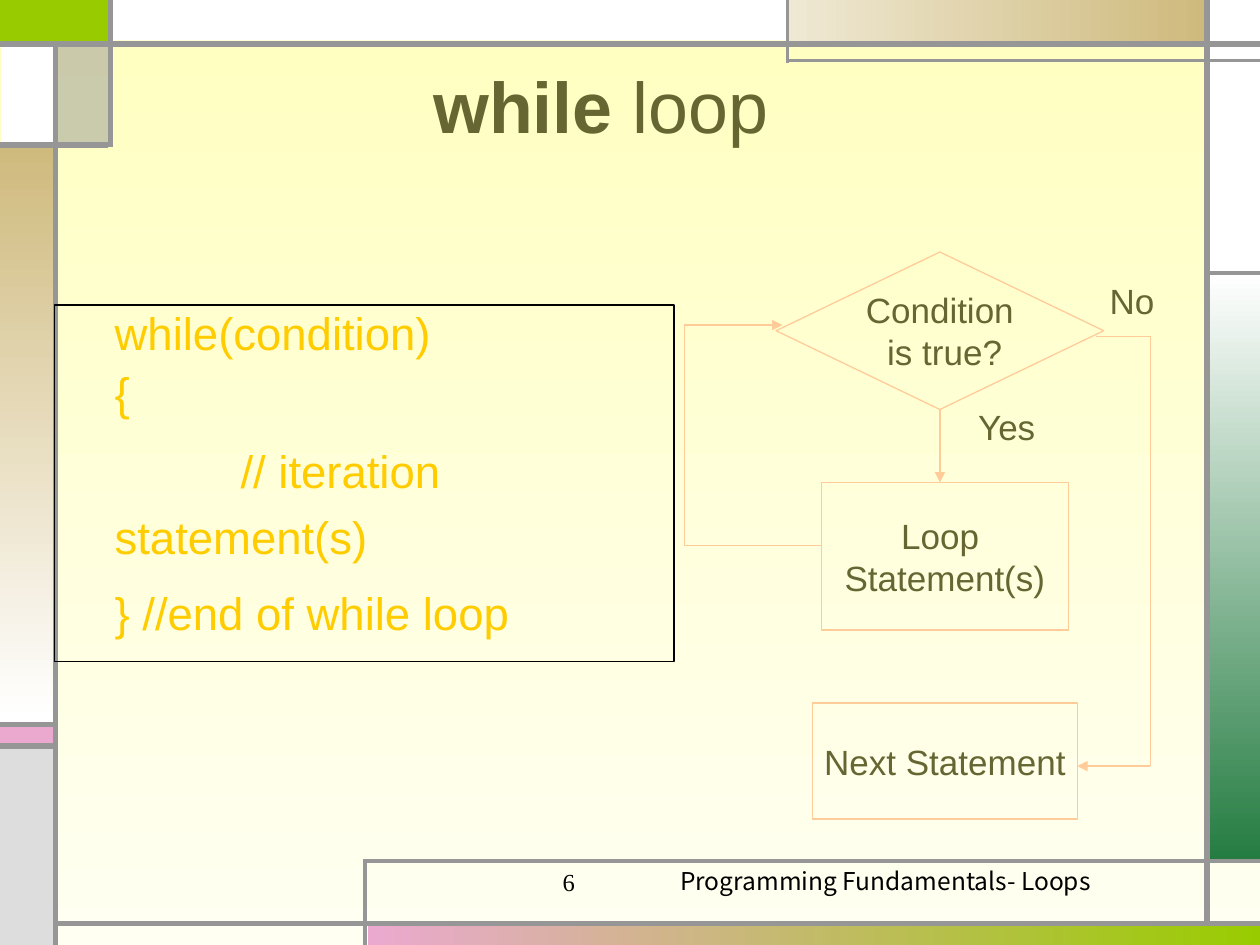
from typing import NamedTuple, Optional

from lxml.etree import SubElement
from pptx import Presentation
from pptx.dml.color import RGBColor
from pptx.enum.shapes import MSO_CONNECTOR, MSO_SHAPE
from pptx.enum.text import MSO_ANCHOR, MSO_AUTO_SIZE, PP_ALIGN
from pptx.oxml.ns import qn
from pptx.util import Inches, Pt

BLACK = RGBColor(0x00, 0x00, 0x00)
WHITE = RGBColor(0xFF, 0xFF, 0xFF)
GRAY = RGBColor(0x96, 0x96, 0x96)
PALE_GRAY = RGBColor(0xDD, 0xDD, 0xDD)
LIME = RGBColor(0x99, 0xCC, 0x00)
PINK = RGBColor(0xEB, 0xA9, 0xD0)
GREEN = RGBColor(0x24, 0x7C, 0x41)
TAN = RGBColor(0xCF, 0xBA, 0x7D)
PALE_TAN = RGBColor(0xEF, 0xE8, 0xD3)
YELLOW = RGBColor(0xFF, 0xFF, 0xBF)
IVORY = RGBColor(0xFF, 0xFF, 0xF2)
OLIVE = RGBColor(0x66, 0x66, 0x33)
GOLD = RGBColor(0xFF, 0xCC, 0x00)
PEACH = RGBColor(0xFF, 0xCC, 0x99)

RIGHTWARD, DOWNWARD = 0, 270


class Box(NamedTuple):
    left: float
    top: float
    width: float
    height: float


class Panel(NamedTuple):
    box: Box
    color: RGBColor
    end_color: Optional[RGBColor] = None
    angle: int = RIGHTWARD
    opacity: int = 100


class Line(NamedTuple):
    x1: float
    y1: float
    x2: float
    y2: float
    width: float = 0.75
    arrow: bool = False


class Node(NamedTuple):
    kind: MSO_SHAPE
    box: Box
    lines: tuple


class Label(NamedTuple):
    box: Box
    text: str
    size: float
    font: str
    color: RGBColor
    align: PP_ALIGN = PP_ALIGN.CENTER
    space_before: float = 0


class CodeLine(NamedTuple):
    text: str
    spacing: float
    indent: float = 0


PANELS = [
    Panel(Box(0, 0, 0.87, 0.34), LIME),
    Panel(Box(2.92, 7.33, 7.08, 0.17), PINK, LIME),
    Panel(Box(9.58, 2.17, 0.42, 4.67), WHITE, GREEN, DOWNWARD),
    Panel(Box(0, 5.75, 0.42, 0.17), PINK),
    Panel(Box(0, 5.93, 0.42, 1.57), PALE_GRAY),
    Panel(Box(9.58, 0, 0.42, 2.17), WHITE),
    Panel(Box(6.25, 0, 3.33, 0.33), PALE_TAN, TAN),
    Panel(Box(0.46, 0.33, 0.42, 0.82), GRAY, opacity=50),
    Panel(Box(0, 1.15, 0.42, 4.58), TAN, WHITE, DOWNWARD),
    Panel(Box(0.01, 0.33, 0.42, 0.82), WHITE),
    Panel(Box(0.86, 0, 5.39, 0.32), WHITE),
]
FRAME_LINES = [
    Line(0.44, 7.5, 0.44, 0.33, 3),
    Line(0.44, 7.33, 10, 7.33, 3),
    Line(9.58, 7.33, 9.58, 0, 3),
    Line(0, 0.35, 10, 0.35, 3),
    Line(10, 0.48, 6.25, 0.48, 2.25),
    Line(6.25, 0.5, 6.25, 0, 2.25),
    Line(9.58, 2.17, 10, 2.17, 2.25),
    Line(0.88, 0, 0.88, 1.17, 3),
    Line(0.86, 1.15, 0, 1.15, 3),
    Line(2.9, 7.5, 2.9, 6.82, 2.25),
    Line(2.89, 6.83, 10, 6.83, 2.25),
    Line(0.46, 5.75, 0, 5.75, 3),
    Line(0.46, 5.92, 0, 5.92, 3),
]
LABELS = [
    Label(Box(5.3, 6.82, 3.87, 0.52), "Programming Fundamentals- Loops", 14,
          "Noto Sans CJK KR", BLACK, PP_ALIGN.LEFT),
    Label(Box(2.93, 6.83, 3.17, 0.52), "6", 14, "Times New Roman", BLACK, space_before=8.8),
    Label(Box(7.54, 3.17, 0.9, 0.43), "Yes", 20, "Arial", OLIVE, space_before=12.5),
    Label(Box(8.62, 2.17, 0.73, 0.43), "No", 20, "Arial", OLIVE, space_before=12.5),
]
CODE = [
    CodeLine("while(condition)", 0.9),
    CodeLine("{", 0.9),
    CodeLine("// iteration statement(s)", 1.2, indent=1),
    CodeLine("} //end of while loop", 1.2),
]
DECISION = Node(MSO_SHAPE.FLOWCHART_DECISION, Box(6.16, 2, 2.6, 1.25), ("Condition", " is true?"))
LOOP_BODY = Node(MSO_SHAPE.RECTANGLE, Box(6.52, 3.83, 1.96, 1.17), ("Loop ", "Statement(s)"))
NEXT = Node(MSO_SHAPE.RECTANGLE, Box(6.45, 5.58, 2.1, 0.92), ("Next Statement",))
YES_LINE = Line(7.46, 3.25, 7.46, 3.83, arrow=True)
FLOW_LINES = [
    Line(6.52, 4.33, 5.43, 4.33),
    Line(5.43, 4.33, 5.43, 2.58),
    Line(5.43, 2.58, 6.21, 2.58, arrow=True),
    Line(8.7, 2.67, 9.13, 2.67),
    Line(9.13, 2.67, 9.13, 6.08),
    Line(9.13, 6.08, 8.55, 6.08, arrow=True),
]


def set_gradient(fill, start: RGBColor, end: RGBColor, angle: int) -> None:
    fill.gradient()
    fill.gradient_angle = angle
    for stop, color, position in zip(fill.gradient_stops, (start, end), (0, 1)):
        stop.color.rgb = color
        stop.position = position


def add_run(paragraph, text: str, size: float, font: str, color: RGBColor, bold=False) -> None:
    run = paragraph.add_run()
    run.text = text
    run.font.size, run.font.name, run.font.bold = Pt(size), font, bold
    run.font.color.rgb = color


def add_panel(slide, panel: Panel) -> None:
    shape = slide.shapes.add_shape(MSO_SHAPE.RECTANGLE, *map(Inches, panel.box))
    shape.shadow.inherit = False
    shape.line.fill.background()
    if panel.end_color is not None:
        set_gradient(shape.fill, panel.color, panel.end_color, panel.angle)
        return
    shape.fill.solid()
    shape.fill.fore_color.rgb = panel.color
    if panel.opacity < 100:
        color = next(shape.element.spPr.iter(qn("a:srgbClr")))
        SubElement(color, qn("a:alpha"), val=str(panel.opacity * 1000))


def add_line(slide, line: Line, color: RGBColor):
    ends = map(Inches, (line.x1, line.y1, line.x2, line.y2))
    connector = slide.shapes.add_connector(MSO_CONNECTOR.STRAIGHT, *ends)
    connector.line.color.rgb = color
    connector.line.width = Pt(line.width)
    if line.arrow:
        SubElement(connector.line._get_or_add_ln(), qn("a:tailEnd"), type="triangle")
    SubElement(connector.element.spPr, qn("a:effectLst"))
    return connector


def add_label(slide, label: Label) -> None:
    frame = slide.shapes.add_textbox(*map(Inches, label.box)).text_frame
    frame.word_wrap = True
    paragraph = frame.paragraphs[0]
    paragraph.alignment = label.align
    paragraph.space_before = Pt(label.space_before)
    add_run(paragraph, label.text, label.size, label.font, label.color)


def add_node(slide, node: Node):
    shape = slide.shapes.add_shape(node.kind, *map(Inches, node.box))
    shape.shadow.inherit = False
    shape.fill.background()
    shape.line.color.rgb, shape.line.width = PEACH, Pt(0.75)
    frame = shape.text_frame
    frame.word_wrap = False
    frame.vertical_anchor = MSO_ANCHOR.MIDDLE
    for index, text in enumerate(node.lines):
        paragraph = frame.add_paragraph() if index else frame.paragraphs[0]
        paragraph.alignment = PP_ALIGN.CENTER
        add_run(paragraph, text, 20, "Arial", OLIVE)
    return shape


def place(placeholder, box: Box, anchor: MSO_ANCHOR):
    """Move a placeholder to its box, in front of the frame, and return its text frame."""
    placeholder.left, placeholder.top, placeholder.width, placeholder.height = map(Inches, box)
    placeholder.element.getparent().append(placeholder.element)
    frame = placeholder.text_frame
    frame.auto_size, frame.word_wrap = MSO_AUTO_SIZE.NONE, True
    frame.vertical_anchor = anchor
    return frame


def fill_title(slide) -> None:
    paragraph = place(slide.shapes.title, Box(0.52, 0.33, 8.5, 1), MSO_ANCHOR.MIDDLE).paragraphs[0]
    paragraph.alignment = PP_ALIGN.CENTER
    add_run(paragraph, "while", 41, "Arial", OLIVE, bold=True)
    add_run(paragraph, " loop", 41, "Arial", OLIVE)


def fill_code(slide) -> None:
    body = slide.placeholders[1]
    frame = place(body, Box(0.43, 2.42, 4.92, 2.83), MSO_ANCHOR.TOP)
    body.line.color.rgb, body.line.width = BLACK, Pt(0.75)
    for index, line in enumerate(CODE):
        paragraph = frame.add_paragraph() if index else frame.paragraphs[0]
        paragraph.line_spacing, paragraph.space_before = line.spacing, Pt(6.5)
        properties = paragraph._p.get_or_add_pPr()
        properties.set("marL", str(Inches(0.38)))
        properties.set("indent", str(Inches(line.indent)))
        SubElement(properties, qn("a:buNone"))
        add_run(paragraph, line.text, 26, "Arial", GOLD)


def main() -> None:
    presentation = Presentation()
    presentation.slide_width, presentation.slide_height = Inches(10), Inches(7.5)
    slide = presentation.slides.add_slide(presentation.slide_layouts[1])
    set_gradient(slide.background.fill, YELLOW, IVORY, DOWNWARD)
    for panel in PANELS:
        add_panel(slide, panel)
    for line in FRAME_LINES:
        add_line(slide, line, GRAY)
    fill_title(slide)
    fill_code(slide)
    decision, *_ = [add_node(slide, node) for node in (DECISION, LOOP_BODY, NEXT)]
    add_line(slide, YES_LINE, PEACH).begin_connect(decision, 2)
    for line in FLOW_LINES:
        add_line(slide, line, PEACH)
    for label in LABELS:
        add_label(slide, label)
    presentation.save("out.pptx")


if __name__ == "__main__":
    main()
